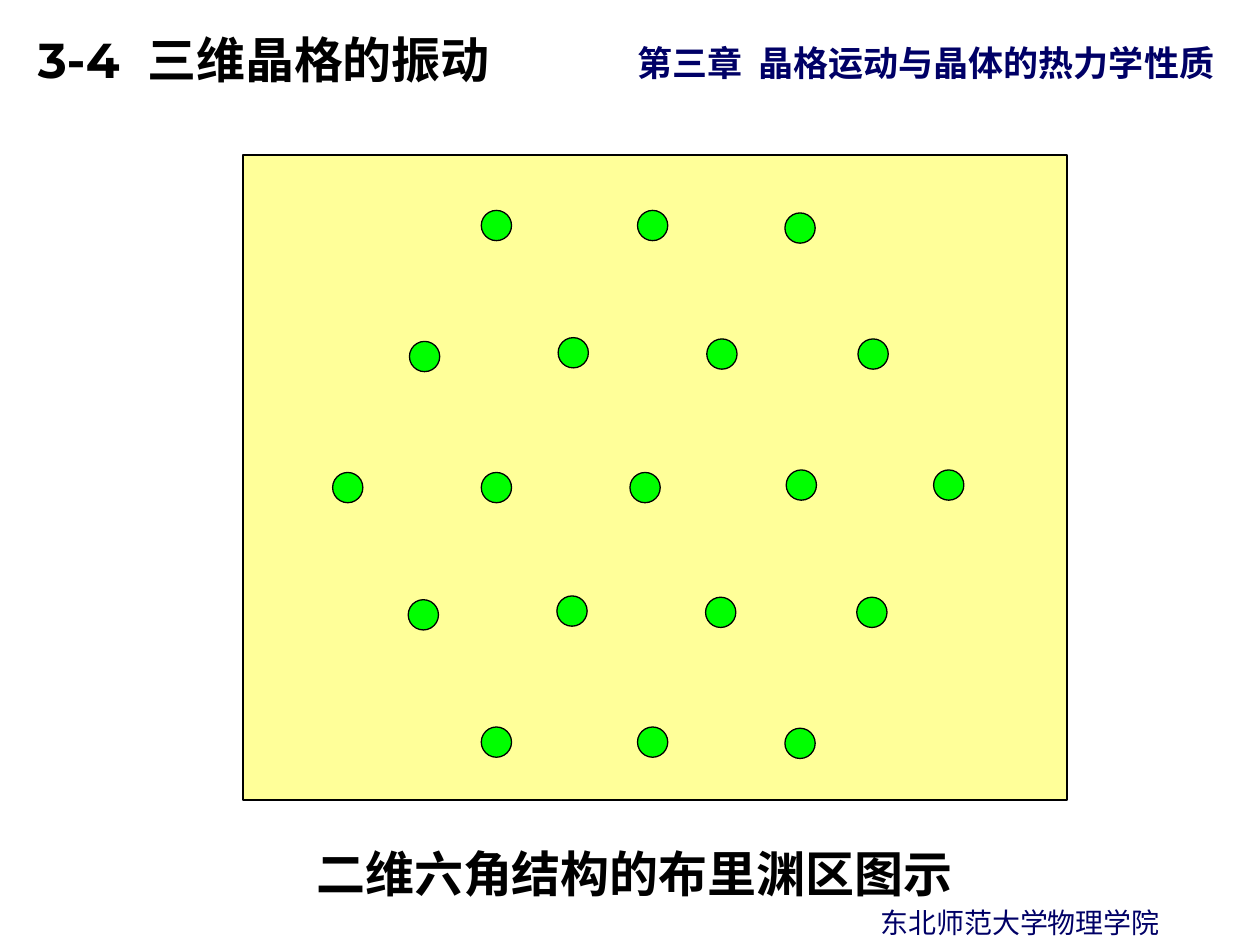
from pptx import Presentation
from pptx.dml.color import RGBColor
from pptx.enum.shapes import MSO_SHAPE
from pptx.enum.text import MSO_ANCHOR, MSO_AUTO_SIZE, PP_ALIGN
from pptx.oxml.ns import qn
from pptx.util import Inches, Pt

BLACK = RGBColor(0x00, 0x00, 0x00)
NAVY = RGBColor(0x00, 0x00, 0x66)
PALE_YELLOW = RGBColor(0xFF, 0xFF, 0x99)
GREEN = RGBColor(0x00, 0xFF, 0x00)

LATIN_FONT = "Montserrat"
CHINESE_FONT = "Noto Sans CJK SC"

ATOM_SIZE = 0.24
# Each row of the lattice: (left, top) of its atoms, in inches from the panel corner
LATTICE_ROWS = [
    [(1.89, 0.44), (3.13, 0.44), (4.30, 0.46)],
    [(1.32, 1.48), (2.50, 1.45), (3.68, 1.46), (4.88, 1.46)],
    [(0.71, 2.52), (1.89, 2.52), (3.07, 2.52), (4.31, 2.50), (5.48, 2.50)],
    [(1.31, 3.53), (2.49, 3.50), (3.67, 3.51), (4.87, 3.51)],
    [(1.89, 4.54), (3.13, 4.54), (4.30, 4.55)],
]


def write_line(holder, text, size, color, font=CHINESE_FONT, bold=True,
               indent=0, spacing=None):
    frame = holder.text_frame
    frame.word_wrap = True
    frame.auto_size = MSO_AUTO_SIZE.NONE
    frame.vertical_anchor = MSO_ANCHOR.TOP
    frame.margin_left = Inches(0.1 + indent)
    paragraph = frame.paragraphs[0]
    paragraph.alignment = PP_ALIGN.LEFT
    paragraph.space_before = Pt(0)
    if spacing:
        paragraph.line_spacing = spacing
    run = paragraph.add_run()
    run.text = text
    run.font.name = font
    run.font.size = Pt(size)
    run.font.bold = bold
    run.font.color.rgb = color
    east_asian = run.font._element.makeelement(qn("a:ea"), {"typeface": CHINESE_FONT})
    run.font._element.find(qn("a:latin")).addnext(east_asian)


def add_label(slide, left, top, width, height, text, size, color, **style):
    label = slide.shapes.add_textbox(Inches(left), Inches(top), Inches(width), Inches(height))
    write_line(label, text, size, color, **style)


def place_title(slide, left, top, width, height):
    title = slide.shapes.title
    title.left, title.top = Inches(left), Inches(top)
    title.width, title.height = Inches(width), Inches(height)
    write_line(title, "3-4  三维晶格的振动", 28, BLACK, font=LATIN_FONT,
               indent=0.2, spacing=1.25)


def add_outlined(shapes, preset, left, top, width, height, color):
    shape = shapes.add_shape(preset, Inches(left), Inches(top), Inches(width), Inches(height))
    shape.shadow.inherit = False
    shape.fill.solid()
    shape.fill.fore_color.rgb = color
    shape.line.color.rgb = BLACK
    shape.line.width = Pt(0.75)


def add_lattice(slide, left, top, width, height):
    """Draw the hexagonal lattice of atoms on its panel, as one group."""
    lattice = slide.shapes.add_group_shape().shapes
    add_outlined(lattice, MSO_SHAPE.RECTANGLE, left, top, width, height, PALE_YELLOW)
    for row in LATTICE_ROWS:
        for x, y in row:
            add_outlined(lattice, MSO_SHAPE.OVAL, left + x, top + y,
                         ATOM_SIZE, ATOM_SIZE, GREEN)


def main():
    prs = Presentation()
    prs.slide_width, prs.slide_height = Inches(10), Inches(7.5)
    slide = prs.slides.add_slide(prs.slide_layouts[5])

    add_label(slide, 4.96, 0.28, 5.08, 0.44, "第三章  晶格运动与晶体的热力学性质", 20, NAVY)
    place_title(slide, 0, 0.07, 8.17, 0.69)
    add_label(slide, 6.89, 7.14, 3.11, 0.37, "东北师范大学物理学院", 16, NAVY, bold=False)
    add_label(slide, 1.81, 6.55, 6.81, 0.67, "二维六角结构的布里渊区图示", 28, BLACK,
              indent=0.6, spacing=1.2)
    add_lattice(slide, 1.93, 1.23, 6.54, 5.12)

    prs.save("out.pptx")


if __name__ == "__main__":
    main()
